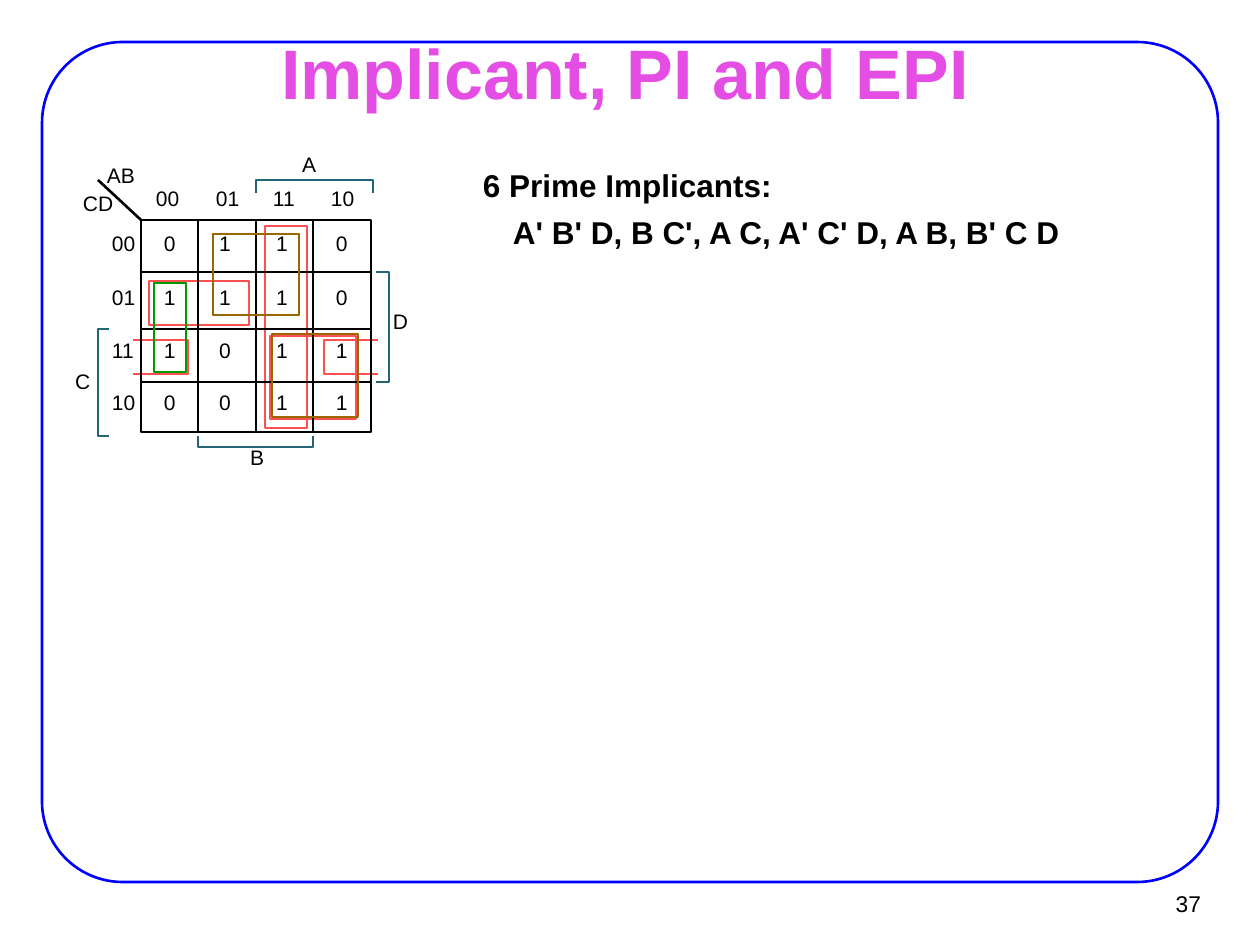
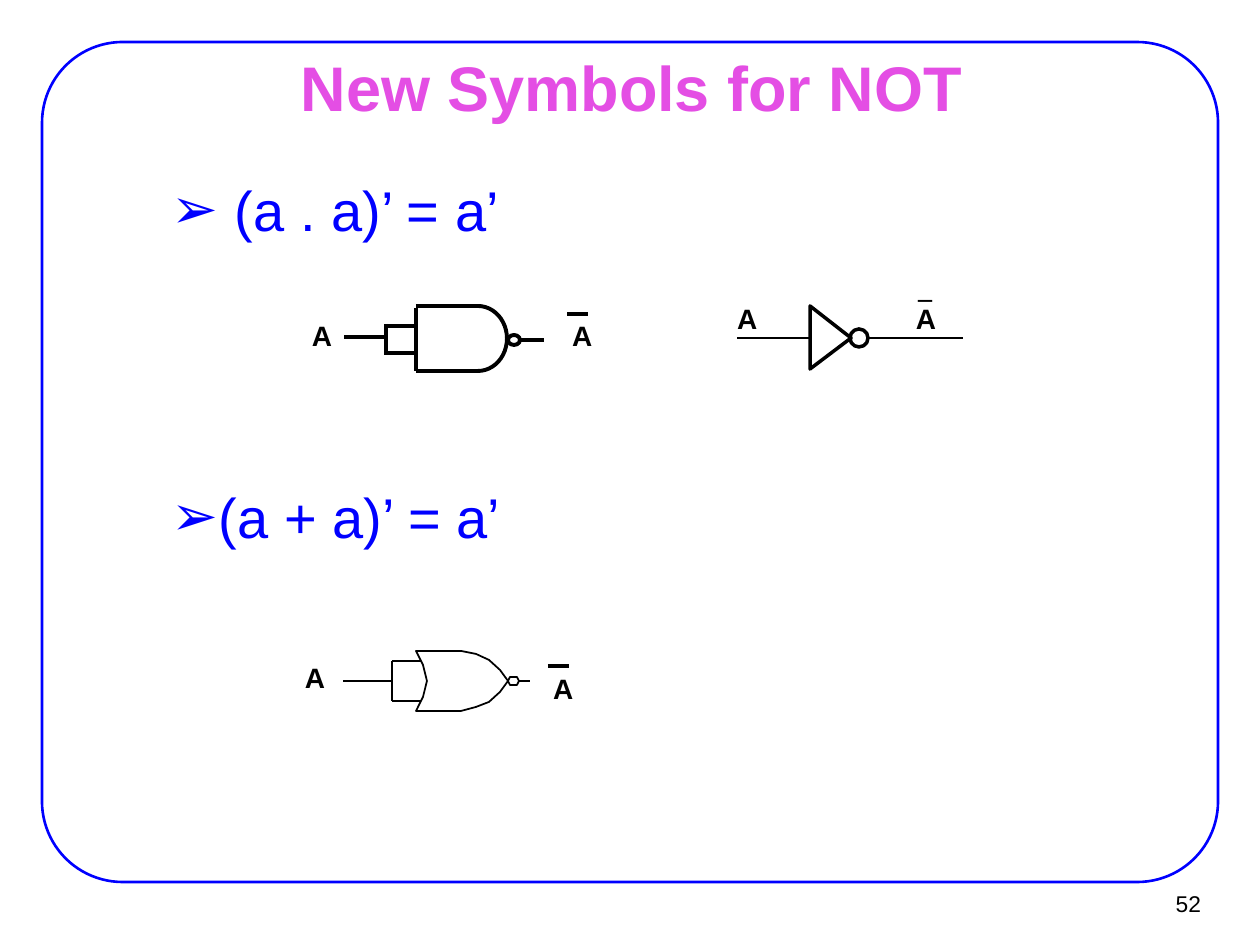
from dataclasses import dataclass

from lxml import etree
from pptx import Presentation
from pptx import util as u
from pptx.dml.color import RGBColor
from pptx.enum import shapes, text
from pptx.oxml import ns

SCALE = 914400 / 126  # EMU in one px
GEOMETRY = ("left", "top", "width", "height")
TIGHT, SNUG, LABEL, ROOMY = (0, 0), (9, 4), (13, 6), (14, 8)  # text insets


@dataclass(frozen=True)
class Theme:
    font: str = "Arial"
    bar_font: str = "Times New Roman"
    title: str = "E44EE4"
    accent: str = "0000FF"
    ink: str = "000000"
    bracket: str = "226577"
    red: str = "FF5050"
    brown: str = "996600"
    green: str = "009900"
    big_title_pt: int = 40
    title_pt: int = 36
    list_pt: int = 32
    body_pt: int = 18
    gate_pt: int = 16
    number_pt: int = 13
    map_pt: int = 12
    thin: float = 0.75
    wire: float = 1
    normal: float = 1.5
    bold: float = 2
    heavy: float = 2.25


T = Theme()


# Basic helpers
def px(n):
    return u.Emu(round(n * SCALE))


def apply(obj, values):
    for name, value in values.items():
        setattr(obj, name, value)


def place(shape, box):
    apply(shape, dict(zip(GEOMETRY, map(px, box))))


def set_line(shape, color, pt):
    shape.line.color.rgb = RGBColor.from_string(color)
    shape.line.width = u.Pt(pt)


def outline(sp, color, pt):
    sp.shadow.inherit = False
    sp.fill.background()
    set_line(sp, color, pt)
    return sp


# Kinds of element
def write(sp, words, size, color=T.ink, bold=False, font=T.font,
          inset=TIGHT, para=None, **frame):
    tf = sp.text_frame
    x, y = map(px, inset)
    apply(tf, {"margin_left": x, "margin_right": x, "margin_top": y,
               "margin_bottom": y, "word_wrap": False,
               "auto_size": text.MSO_AUTO_SIZE.SHAPE_TO_FIT_TEXT, **frame})
    p = tf.paragraphs[0]
    apply(p, para or {})
    r = p.add_run()
    r.text = words
    apply(r.font, {"name": font, "size": u.Pt(size), "bold": bold})
    r.font.color.rgb = RGBColor.from_string(color)
    return p


def text_box(s, box, words, size, **style):
    return write(s.shapes.add_textbox(*map(px, box)), words, size, **style)


def preset(s, kind, box, color=T.ink, pt=T.normal):
    return outline(s.shapes.add_shape(kind, *map(px, box)), color, pt)


def polyline(s, points, color=T.ink, pt=T.normal, close=False):
    builder = s.shapes.build_freeform(*points[0], scale=SCALE)
    builder.add_line_segments(points[1:], close=close)
    return outline(builder.convert_to_shape(), color, pt)


def line(s, x1, y1, x2, y2, pt=T.normal):
    c = s.shapes.add_connector(shapes.MSO_CONNECTOR.STRAIGHT,
                               *map(px, (x1, y1, x2, y2)))
    set_line(c, T.ink, pt)
    etree.SubElement(c.element.spPr, ns.qn("a:effectLst"))
    return c


def bullet_line(sp, words, margin, hang):
    p = write(sp, words, T.list_pt, color=T.accent, inset=ROOMY,
              para={"level": 1, "space_before": u.Pt(6.4)},
              word_wrap=True, auto_size=text.MSO_AUTO_SIZE.NONE)
    pPr = p._p.get_or_add_pPr()
    pPr.set("marL", str(px(margin)))
    pPr.set("indent", str(px(-hang)))
    etree.SubElement(pPr, ns.qn("a:buFont")).set("typeface", T.font)
    etree.SubElement(pPr, ns.qn("a:buChar")).set("char", "➢")


def new_slide(prs, layout, number, title, box, size, **style):
    s = prs.slides.add_slide(prs.slide_layouts[layout])
    place(s.shapes.title, box)
    write(s.shapes.title, title, size, color=T.title, bold=True,
          para={"alignment": text.PP_ALIGN.CENTER}, **style)
    text_box(s, (1135, 880, 77, 47), str(number), T.number_pt, inset=(11, 5),
             para={"alignment": text.PP_ALIGN.RIGHT},
             vertical_anchor=text.MSO_ANCHOR.MIDDLE,
             auto_size=text.MSO_AUTO_SIZE.NONE)
    return s


def frame_on_master(prs, s):
    frame = preset(s, shapes.MSO_SHAPE.ROUNDED_RECTANGLE,
                   (42, 42, 1176, 840), T.accent)
    frame.adjustments[0] = 0.096
    prs.slide_master.shapes.element.append(frame.element)


# Karnaugh map
def map_label(s, x, y, words):
    text_box(s, (x, y, 4 + 18 * len(words), 25), words, T.map_pt)


def loops(s, color, boxes):
    for box in boxes:
        preset(s, shapes.MSO_SHAPE.RECTANGLE, box, color)


def map_grid(s):
    left, top, width, height = 141, 220, 230, 212
    grid = preset(s, shapes.MSO_SHAPE.RECTANGLE, (left, top, width, height))
    for y in (272, 329, 382):
        line(s, left, y, left + width, y)
    for i in (1, 2, 3):
        x = left + width * i // 4
        column = line(s, x, top, x, top + height)
        if i == 2:
            column.begin_connect(grid, 0)
            column.end_connect(grid, 2)
    line(s, left, top, 98, 180)


def map_values(s):
    codes = ("00", "01", "11", "10")
    for x, code in zip((156, 216, 273, 331), codes):
        map_label(s, x, 186, code)
    rows = ("0110", "1110", "1011", "0011")
    for y, code, values in zip((231, 285, 338, 390), codes, rows):
        map_label(s, 112, y, code)
        for x, value in zip((164, 219, 276, 336), values):
            map_label(s, x, y, value)


def map_variables(s):
    brackets = (
        ((256, 193), (256, 180), (373, 180), (373, 193)),
        ((109, 436), (98, 436), (98, 329), (109, 329)),
        ((313, 436), (313, 447), (198, 447), (198, 436)),
        ((376, 272), (389, 272), (389, 382), (376, 382)),
    )
    for points in brackets:
        polyline(s, points, T.bracket)
    names = (("AB", 107, 163), ("CD", 83, 191), ("A", 302, 152),
             ("B", 250, 445), ("C", 75, 369), ("D", 393, 309))
    for name, x, y in names:
        map_label(s, x, y, name)


def karnaugh_map(s):
    pair, column = (213, 234, 86, 81), (154, 283, 32, 89)
    loops(s, T.red, (pair, (265, 226, 42, 202), column, (149, 281, 100, 44),
                     (270, 336, 86, 83)))
    for outer, inner in ((133, 188), (378, 324)):
        polyline(s, ((outer, 374), (inner, 374), (inner, 340), (outer, 340)),
                 T.red)
    map_grid(s)
    map_values(s)
    map_variables(s)
    loops(s, T.brown, (pair, (272, 334, 86, 83)))
    loops(s, T.green, (column,))


# Logic gates
def gate_label(s, x, y, words="A", **style):
    text_box(s, (x, y, 45, 46), words, T.gate_pt, bold=True, inset=LABEL,
             **style)


def inverted_label(s, x, y):
    gate_label(s, x, y)
    line(s, x + 8, y + 1, x + 29, y + 1, T.heavy)


def wires(s, pt, ends):
    for end in ends:
        line(s, *end, pt)


def nand_gate(s):
    wires(s, T.heavy, (
        (520, 340, 544, 340), (388, 326, 416, 326), (388, 353, 416, 353),
        (416, 306, 480, 306), (416, 308, 416, 371), (416, 371, 480, 371),
        (386, 324, 386, 355), (386, 337, 344, 337)))
    arc = preset(s, shapes.MSO_SHAPE.ARC, (449, 306, 58, 65), pt=T.heavy)
    arc.adjustments[1] = 54  # sweep down to a quarter turn below the axis
    preset(s, shapes.MSO_SHAPE.OVAL, (508, 335, 12, 10), pt=T.heavy)
    gate_label(s, 299, 312)
    inverted_label(s, 559, 313)


def inverter(s):
    wires(s, T.wire, ((868, 338, 963, 338), (810, 338, 737, 338)))
    polyline(s, ((810, 306), (851, 338), (810, 369)), pt=T.bold, close=True)
    preset(s, shapes.MSO_SHAPE.OVAL, (850, 329, 18, 18), pt=T.bold)
    gate_label(s, 724, 296)
    gate_label(s, 903, 296)
    gate_label(s, 905, 265, "_", font=T.bar_font)


def nor_gate(s):
    body = ((416, 651), (461, 651), (476, 654), (489, 660), (500, 670),
            (508, 681), (500, 692), (489, 702), (476, 707), (461, 711),
            (416, 711), (423, 697), (427, 681), (423, 665))
    bubble = ((508, 681), (510, 677), (517, 677), (519, 681), (517, 685),
              (510, 685))
    for points in (body, bubble):
        polyline(s, points, pt=T.wire, close=True)
    wires(s, T.wire, ((392, 701, 421, 701), (392, 661, 421, 661),
                      (519, 681, 530, 681)))
    wires(s, T.thin, ((392, 661, 392, 701), (392, 681, 343, 681)))
    gate_label(s, 292, 655)
    inverted_label(s, 540, 665)


def main():
    prs = Presentation()
    apply(prs, {"slide_width": px(1260), "slide_height": px(945)})

    # Prime implicants
    s = new_slide(prs, 5, 37, "Implicant, PI and EPI", (262, 25, 726, 91),
                  T.big_title_pt, inset=SNUG,
                  vertical_anchor=text.MSO_ANCHOR.TOP)
    frame_on_master(prs, s)
    for box, words in (
            ((474, 168, 340, 39), "6 Prime Implicants:"),
            ((504, 215, 600, 39), "A' B' D, B C', A C, A' C' D, A B, B' C D")):
        text_box(s, box, words, T.body_pt, bold=True, inset=SNUG,
                 para={"line_spacing": 0.85})
    karnaugh_map(s)

    # NOT built from NAND and NOR
    s = new_slide(prs, 1, 52, "New Symbols for NOT", (96, 55, 1071, 62),
                  T.title_pt, inset=ROOMY, word_wrap=True,
                  vertical_anchor=text.MSO_ANCHOR.MIDDLE,
                  auto_size=text.MSO_AUTO_SIZE.NONE)
    body = s.placeholders[1]
    place(body, (95, 167, 1071, 126))
    bullet_line(body, "(a . a)’ = a’", 126, 63)
    nand_gate(s)
    inverter(s)
    nor_gate(s)
    second = s.shapes.add_textbox(*map(px, (95, 475, 1071, 126)))
    bullet_line(second, "(a + a)’ = a’", 102, 39)

    prs.save("out.pptx")


if __name__ == "__main__":
    main()
